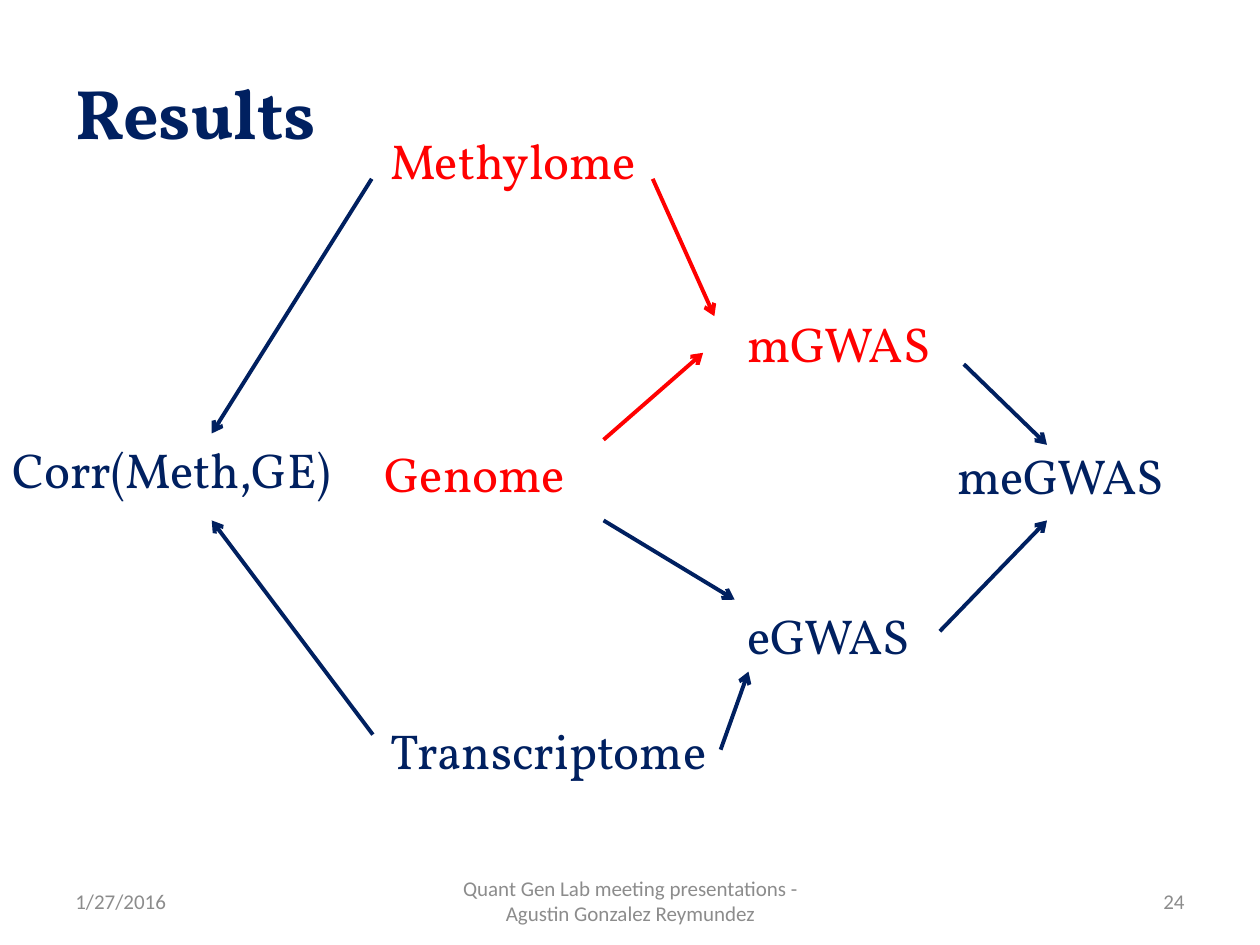
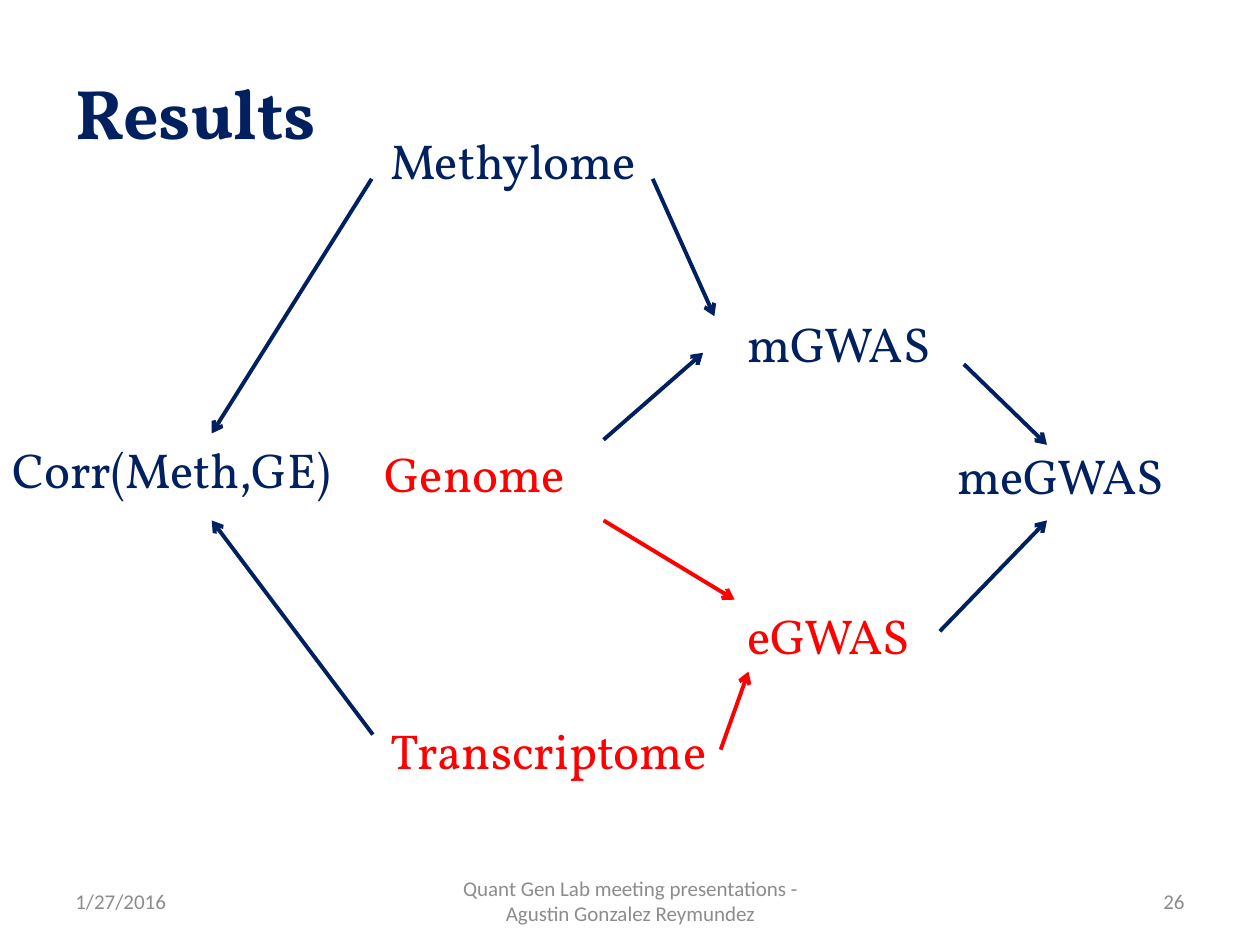
from typing import NamedTuple

from lxml import etree
from pptx import Presentation
from pptx.dml.color import RGBColor
from pptx.enum.shapes import MSO_CONNECTOR
from pptx.enum.text import MSO_ANCHOR, MSO_AUTO_SIZE, PP_ALIGN
from pptx.oxml.ns import qn
from pptx.util import Pt

STRAIGHT = MSO_CONNECTOR.STRAIGHT
TOP, MIDDLE = MSO_ANCHOR.TOP, MSO_ANCHOR.MIDDLE
LEFT, CENTER, RIGHT = PP_ALIGN.LEFT, PP_ALIGN.CENTER, PP_ALIGN.RIGHT
GROW, FIXED = MSO_AUTO_SIZE.SHAPE_TO_FIT_TEXT, MSO_AUTO_SIZE.NONE

NAVY, RED, GRAY = "002060", "FF0000", "8C8C8C"
BLANK_LAYOUT = 6
STAGE_HEIGHT = 41
FOOTER_TOP, FOOTER_HEIGHT = 500.4, 28.8


class TextStyle(NamedTuple):
    font: str
    size: float
    bold: bool = False
    anchor: MSO_ANCHOR = TOP
    fit: MSO_AUTO_SIZE = GROW


class Stage(NamedTuple):
    label: str
    left: float
    top: float
    width: float


class Flow(NamedTuple):
    source: str
    target: str
    start: tuple[float, float]
    end: tuple[float, float]


class FooterPart(NamedTuple):
    text: str
    left: float
    width: float
    align: PP_ALIGN


class ResultSlide(NamedTuple):
    number: int
    highlighted: str


TITLE_STYLE = TextStyle("Vollkorn", 40, bold=True)
STAGE_STYLE = TextStyle("Vollkorn", 28)
FOOTER_STYLE = TextStyle("Calibri", 12, anchor=MIDDLE, fit=FIXED)

STAGES = [
    Stage("Methylome", 216, 71.3, 203.8),
    Stage("Genome", 212.4, 249.8, 242.6),
    Stage("Transcriptome", 216, 408.2, 203.8),
    Stage("Corr(Meth,GE)", 0, 247.7, 242.6),
    Stage("mGWAS", 419.8, 175.7, 216),
    Stage("eGWAS", 419.8, 342.7, 216),
    Stage("meGWAS", 540, 251.3, 216),
]
FLOWS = [
    Flow("Methylome", "Corr(Meth,GE)", (212.4, 102.2), (121, 247.7)),
    Flow("Transcriptome", "Corr(Meth,GE)", (213.1, 419.8), (121, 297.4)),
    Flow("Methylome", "mGWAS", (373, 102.2), (408.2, 180.7)),
    Flow("Genome", "mGWAS", (344.9, 251.3), (401.8, 201.6)),
    Flow("Genome", "eGWAS", (344.9, 297.4), (419.8, 342.7)),
    Flow("Transcriptome", "eGWAS", (411.8, 428.4), (427.7, 383.8)),
    Flow("mGWAS", "meGWAS", (550.8, 208.1), (598.3, 254.2)),
    Flow("eGWAS", "meGWAS", (537.1, 360.7), (598.3, 297.4)),
]
RESULT_SLIDES = [ResultSlide(24, "mGWAS"), ResultSlide(26, "eGWAS")]


def rgb(color: str) -> RGBColor:
    return RGBColor.from_string(color)


def add_text(slide, text: str, left: float, top: float, width: float, height: float,
             style: TextStyle, color: str, align: PP_ALIGN = LEFT) -> None:
    box = slide.shapes.add_textbox(Pt(left), Pt(top), Pt(width), Pt(height))
    frame = box.text_frame
    frame.word_wrap = True
    frame.auto_size = style.fit
    frame.vertical_anchor = style.anchor
    paragraph = frame.paragraphs[0]
    paragraph.text = text
    paragraph.alignment = align
    font = paragraph.font
    font.name, font.size, font.bold = style.font, Pt(style.size), style.bold
    font.color.rgb = rgb(color)


def add_flow(slide, flow: Flow, color: str) -> None:
    arrow = slide.shapes.add_connector(
        STRAIGHT, *(Pt(value) for value in flow.start + flow.end))
    arrow.line.color.rgb = rgb(color)
    arrow.line.width = Pt(2.25)
    etree.SubElement(arrow.line._get_or_add_ln(), qn("a:tailEnd"), type="arrow")
    etree.SubElement(arrow._element.spPr, qn("a:effectLst"))


def add_footer(slide, number: int) -> None:
    parts = [
        FooterPart("1/27/2016", 36, 167.8, LEFT),
        FooterPart("Quant Gen Lab meeting presentations - Agustin Gonzalez Reymundez",
                   246.2, 228.2, CENTER),
        FooterPart(str(number), 516.2, 167.8, RIGHT),
    ]
    for part in parts:
        add_text(slide, part.text, part.left, FOOTER_TOP, part.width, FOOTER_HEIGHT,
                 FOOTER_STYLE, GRAY, part.align)


def add_result_slide(deck, result: ResultSlide) -> None:
    """Draw the workflow with one analysis and everything feeding it in red."""
    slide = deck.slides.add_slide(deck.slide_layouts[BLANK_LAYOUT])
    add_footer(slide, result.number)
    add_text(slide, "Results", 36, 36, 617.8, 55.4, TITLE_STYLE, NAVY)

    red_stages = {flow.source for flow in FLOWS if flow.target == result.highlighted}
    red_stages.add(result.highlighted)
    for stage in STAGES:
        add_text(slide, stage.label, stage.left, stage.top, stage.width, STAGE_HEIGHT,
                 STAGE_STYLE, RED if stage.label in red_stages else NAVY)
    for flow in FLOWS:
        add_flow(slide, flow, RED if flow.target == result.highlighted else NAVY)


def main() -> None:
    deck = Presentation()
    deck.slide_width, deck.slide_height = Pt(720), Pt(540)
    for result in RESULT_SLIDES:
        add_result_slide(deck, result)
    deck.save("out.pptx")


if __name__ == "__main__":
    main()
